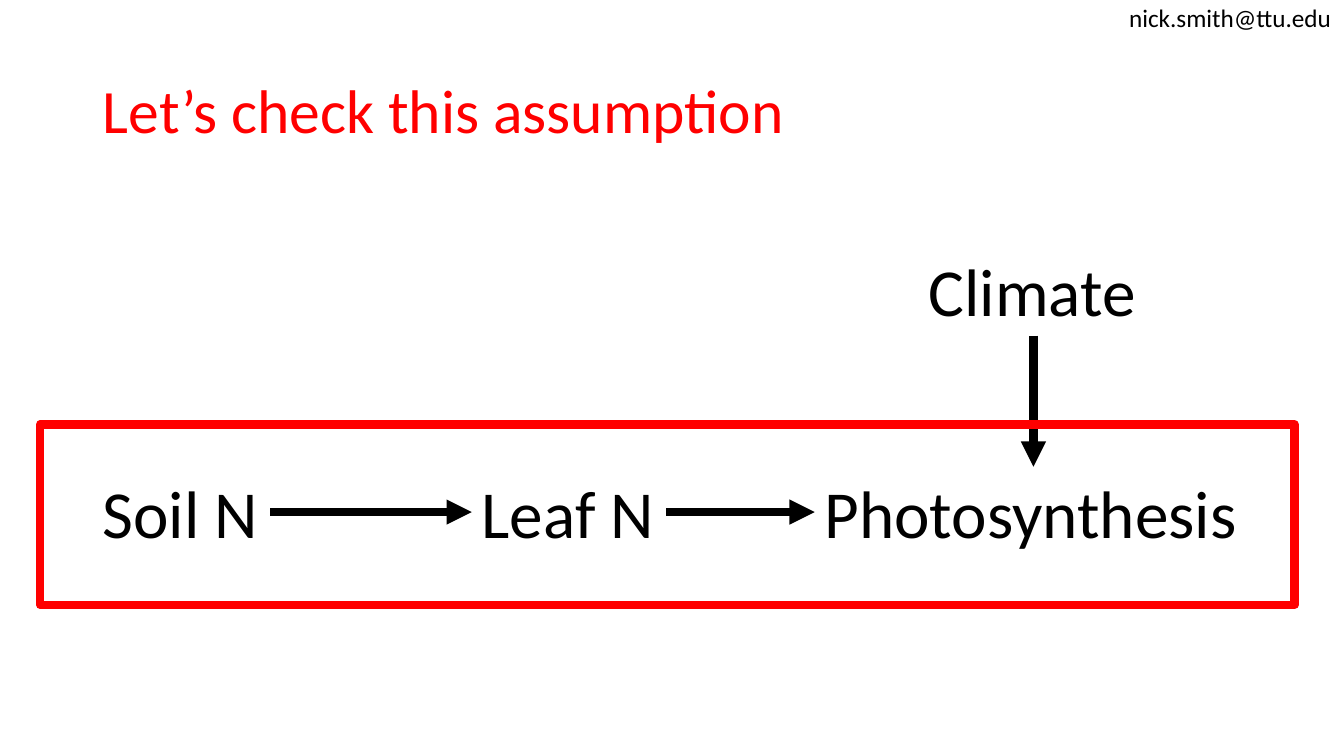
from lxml import etree
from pptx import Presentation
from pptx.dml.color import RGBColor
from pptx.enum import shapes, text
from pptx.oxml import ns
from pptx.util import Inches, Pt

BLACK = RGBColor(0, 0, 0)
RED = RGBColor(255, 0, 0)


class Deck:
    font = "Calibri"
    line = Pt(6)

    def __init__(self):
        self.prs = Presentation()
        self.prs.slide_width = Inches(13.33)
        self.prs.slide_height = Inches(7.5)
        self.slide = self.prs.slides.add_slide(self.prs.slide_layouts[5])

    def fill_text(self, frame, words, size, color):
        frame.text = words
        font = frame.paragraphs[0].runs[0].font
        font.name, font.size, font.color.rgb = self.font, Pt(size), color

    def title(self, words, left, top, width, height):
        box = self.slide.shapes.title
        box.left, box.top = Inches(left), Inches(top)
        box.width, box.height = Inches(width), Inches(height)
        frame = box.text_frame
        self.fill_text(frame, words, 44, RED)
        frame.vertical_anchor = text.MSO_ANCHOR.MIDDLE
        frame.paragraphs[0].alignment = text.PP_ALIGN.LEFT
        frame.paragraphs[0].line_spacing = 0.9

    def label(self, words, left, top, width, height=0.91, size=48):
        box = self.slide.shapes.add_textbox(
            Inches(left), Inches(top), Inches(width), Inches(height))
        frame = box.text_frame
        self.fill_text(frame, words, size, BLACK)
        frame.word_wrap = False
        frame.auto_size = text.MSO_AUTO_SIZE.SHAPE_TO_FIT_TEXT

    def arrow(self, x1, y1, x2, y2):
        link = self.slide.shapes.add_connector(
            shapes.MSO_CONNECTOR.STRAIGHT,
            Inches(x1), Inches(y1), Inches(x2), Inches(y2))
        link.line.color.rgb = BLACK
        link.line.width = self.line
        props = link.element.spPr
        etree.SubElement(props.find(ns.qn("a:ln")), ns.qn("a:tailEnd"),
                         type="triangle")
        etree.SubElement(props, ns.qn("a:effectLst"))

    def frame(self, left, top, width, height):
        box = self.slide.shapes.add_shape(
            shapes.MSO_SHAPE.RECTANGLE,
            Inches(left), Inches(top), Inches(width), Inches(height))
        box.shadow.inherit = False
        box.fill.background()
        box.line.color.rgb = RED
        box.line.width = self.line


def main():
    deck = Deck()
    deck.title("Let’s check this assumption", 0.92, 0.4, 11.5, 1.45)

    row, mid = 4.63, 5.08
    chain = [("Soil N", 0.92, 1.76), ("Leaf N", 4.68, 1.93),
             ("Photosynthesis", 8.08, 4.33)]
    for words, left, width in chain:
        deck.label(words, left, row, width)
    for (_, left, width), (_, end, _) in zip(chain, chain[1:]):
        deck.arrow(left + width, mid, end, mid)

    deck.label("Climate", 9.11, 2.42, 2.28)
    deck.arrow(10.25, 3.33, 10.25, row)
    deck.frame(0.4, 4.21, 12.44, 1.79)
    deck.label("nick.smith@ttu.edu", 11.1, -0.03, 2.23, 0.4, 18)
    deck.prs.save("out.pptx")


if __name__ == "__main__":
    main()
